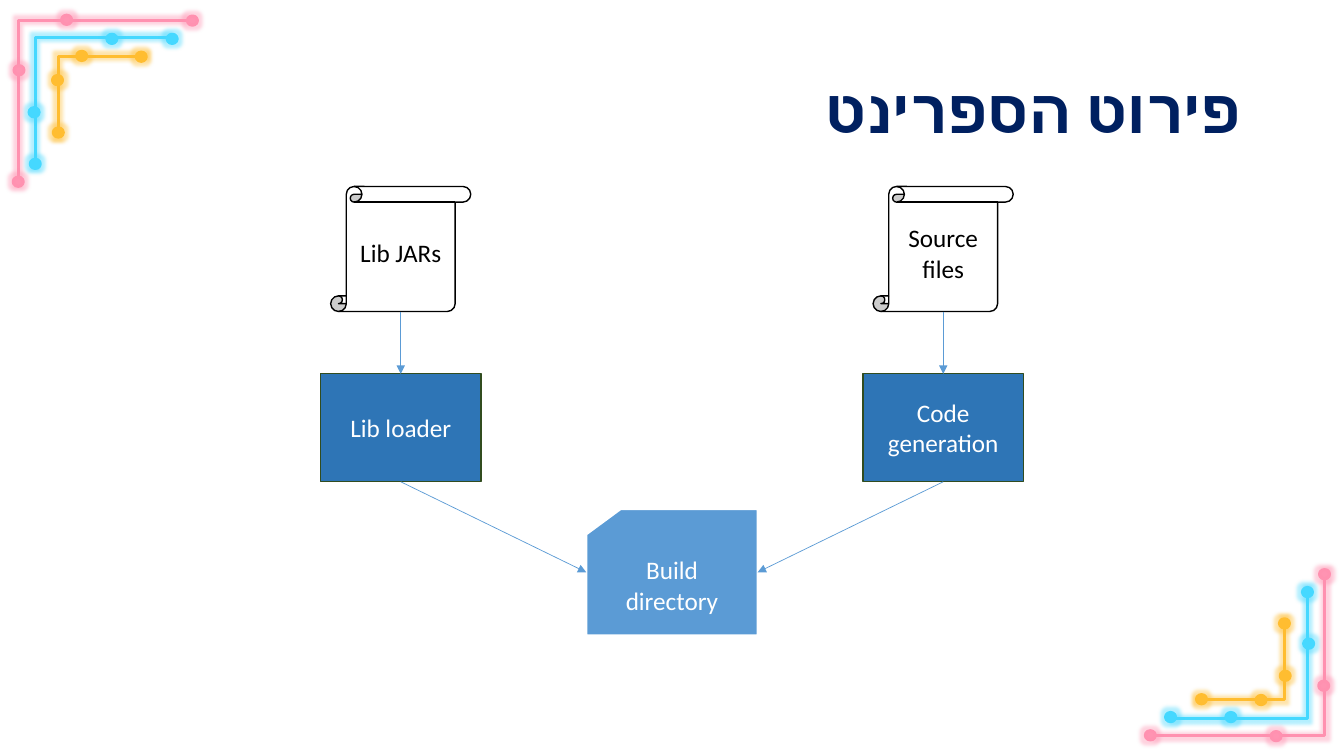
"""Build the sprint detail slide: two input chains that meet in a build directory."""
import dataclasses

import lxml.etree
import pptx
import pptx.dml.color
import pptx.enum.shapes
import pptx.enum.text
import pptx.oxml.ns
import pptx.util

Cm = pptx.util.Cm
Pt = pptx.util.Pt
SHAPE = pptx.enum.shapes.MSO_SHAPE
ALIGN = pptx.enum.text.PP_ALIGN
MIDDLE = pptx.enum.text.MSO_ANCHOR.MIDDLE
TOP, LEFT, BOTTOM, RIGHT = range(4)


@dataclasses.dataclass(frozen=True)
class Theme:
    """Colours, fonts and sizes of the slide."""
    pink: str = "FF91B0"
    pink_dot: str = "FF93B2"
    cyan: str = "45D8FF"
    orange: str = "FFBD30"
    navy: str = "002060"
    blue: str = "2E75B6"
    light_blue: str = "5B9BD5"
    olive: str = "314C1F"
    white: str = "FFFFFF"
    black: str = "000000"
    title_font: str = "Karla"
    body_font: str = "Calibri"
    title_size: float = 44
    body_size: float = 18
    circuit_width: float = 2.25
    arrow_width: float = 0.5
    glow_radius: int = 63500
    glow_alpha: int = 40000


THEME = Theme()
SLIDE_WIDTH, SLIDE_HEIGHT = 33.87, 19.05
MIRROR_X, MIRROR_Y = 33.84, 19.05
DOT_WIDTH, DOT_HEIGHT = 0.25, 0.23
LEFT_CENTRE, RIGHT_CENTRE = 10.1, 23.77

CIRCUITS = [
    (THEME.cyan, THEME.cyan, [(0.89, 4.22), (0.89, 0.94), (4.27, 0.94)],
     [(0.89, 4.13), (4.34, 0.98), (0.86, 2.83), (2.82, 0.98)]),
    (THEME.pink, THEME.pink_dot, [(0.46, 4.65), (0.46, 0.51), (4.7, 0.51)],
     [(0.46, 4.58), (4.85, 0.52), (1.68, 0.5), (0.48, 1.77)]),
    (THEME.orange, THEME.orange, [(1.47, 3.48), (1.47, 1.42), (3.68, 1.42)],
     [(1.47, 3.34), (1.45, 2.02), (3.56, 1.43), (2.06, 1.41)]),
]
CHAINS = [
    (LEFT_CENTRE, "Lib JARs", "Lib loader", LEFT),
    (RIGHT_CENTRE, "Source files", "Code generation", RIGHT),
]


def rgb(colour):
    """Return a colour object for a hex string."""
    return pptx.dml.color.RGBColor.from_string(colour)


def apply(target, values):
    """Set each named attribute on the target."""
    for name, value in values.items():
        setattr(target, name, value)


def add_child(parent, tag, **attributes):
    """Append a drawing element with its attributes."""
    return lxml.etree.SubElement(parent, pptx.oxml.ns.qn(tag), attributes)


class SlideBuilder:
    """Holds the theme and the current slide."""

    def __init__(self, slide, theme):
        """Keep the slide and its theme."""
        self.slide = slide
        self.theme = theme

    def outline(self, shape, colour, width):
        """Give a shape or connector a solid line."""
        shape.line.color.rgb = rgb(colour)
        shape.line.width = Pt(width)

    def glow(self, shape, colour):
        """Surround a shape with a soft glow."""
        shape.shadow.inherit = False
        effects = shape._element.spPr.find(pptx.oxml.ns.qn("a:effectLst"))
        halo = add_child(effects, "a:glow", rad=str(self.theme.glow_radius))
        glow_colour = add_child(halo, "a:srgbClr", val=colour)
        add_child(glow_colour, "a:alpha", val=str(self.theme.glow_alpha))

    def label(self, shape, lines, font, alignment=ALIGN.CENTER, spacing=1.0):
        """Put right-to-left paragraphs into a shape."""
        frame = shape.text_frame
        apply(frame, {"word_wrap": True, "vertical_anchor": MIDDLE,
                      "text": "\n".join(lines)})
        for paragraph in frame.paragraphs:
            apply(paragraph, {"alignment": alignment, "line_spacing": spacing})
            paragraph._p.get_or_add_pPr().set("rtl", "1")
            for run in paragraph.runs:
                run.font.color.rgb = rgb(font["colour"])
                apply(run.font, font["format"])
                add_child(run._r.get_or_add_rPr(), "a:cs", typeface=run.font.name)

    def title(self, text, left, top, width, height):
        """Add the right-aligned heading."""
        box = self.slide.shapes.add_textbox(Cm(left), Cm(top), Cm(width), Cm(height))
        values = {"name": self.theme.title_font, "size": Pt(self.theme.title_size),
                  "bold": True}
        self.label(box, [text], {"colour": self.theme.navy, "format": values},
                   ALIGN.RIGHT, 0.9)

    def shape(self, preset, centre, top, width, height, fill, line, line_width):
        """Add a filled preset shape centred on a vertical axis."""
        shape = self.slide.shapes.add_shape(
            preset, Cm(centre - width / 2), Cm(top), Cm(width), Cm(height))
        shape.shadow.inherit = False
        shape.fill.solid()
        shape.fill.fore_color.rgb = rgb(fill)
        self.outline(shape, line, line_width)
        return shape

    def node(self, lines, text_colour, *geometry):
        """Add a labelled step of the flow."""
        shape = self.shape(*geometry)
        values = {"name": self.theme.body_font, "size": Pt(self.theme.body_size)}
        self.label(shape, lines, {"colour": text_colour, "format": values})
        return shape

    def arrow(self, source, target, side):
        """Join the bottom of one step to a side of another."""
        connector = self.slide.shapes.add_connector(
            pptx.enum.shapes.MSO_CONNECTOR.STRAIGHT, 0, 0, 0, 0)
        connector.begin_connect(source, BOTTOM)
        connector.end_connect(target, side)
        self.outline(connector, self.theme.light_blue, self.theme.arrow_width)
        add_child(connector.line._get_or_add_ln(), "a:tailEnd", type="triangle")
        add_child(connector._element.spPr, "a:effectLst")

    def circuit(self, colour, dot_colour, points, dots):
        """Add one glowing angled trace with its dots."""
        start, *rest = [(Cm(x), Cm(y)) for x, y in points]
        builder = self.slide.shapes.build_freeform(*start)
        builder.add_line_segments(rest, close=False)
        trace = builder.convert_to_shape()
        trace.fill.background()
        self.outline(trace, colour, self.theme.circuit_width)
        self.glow(trace, colour)
        for x, y in dots:
            dot = self.shape(SHAPE.OVAL, x, y - DOT_HEIGHT / 2, DOT_WIDTH, DOT_HEIGHT,
                             dot_colour, colour, self.theme.circuit_width)
            self.glow(dot, colour)


def mirror(points):
    """Turn points half a turn into the opposite corner."""
    return [(MIRROR_X - x, MIRROR_Y - y) for x, y in points]


def main():
    """Build and save the presentation."""
    presentation = pptx.Presentation()
    apply(presentation, {"slide_width": Cm(SLIDE_WIDTH), "slide_height": Cm(SLIDE_HEIGHT)})
    slide = presentation.slides.add_slide(presentation.slide_layouts[6])
    builder = SlideBuilder(slide, THEME)

    for place in (mirror, list):
        for colour, dot_colour, points, dots in CIRCUITS:
            builder.circuit(colour, dot_colour, place(points), place(dots))

    builder.title("פירוט הספרינט", 2.33, 1.01, 29.21, 3.68)
    directory = builder.node(
        ["Build", "directory"], THEME.white, SHAPE.FLOWCHART_CARD,
        (LEFT_CENTRE + RIGHT_CENTRE) / 2, 12.83, 4.32, 3.18,
        THEME.light_blue, THEME.white, 1.5)
    for centre, source_text, step_text, side in CHAINS:
        source = builder.node([source_text], THEME.black, SHAPE.VERTICAL_SCROLL,
                              centre, 4.7, 3.53, 3.15, THEME.white, THEME.black, 1)
        step = builder.node([step_text], THEME.white, SHAPE.RECTANGLE,
                            centre, 9.42, 4.05, 2.72, THEME.blue, THEME.olive, 1)
        builder.arrow(source, step, TOP)
        builder.arrow(step, directory, side)

    presentation.save("out.pptx")


if __name__ == "__main__":
    main()
